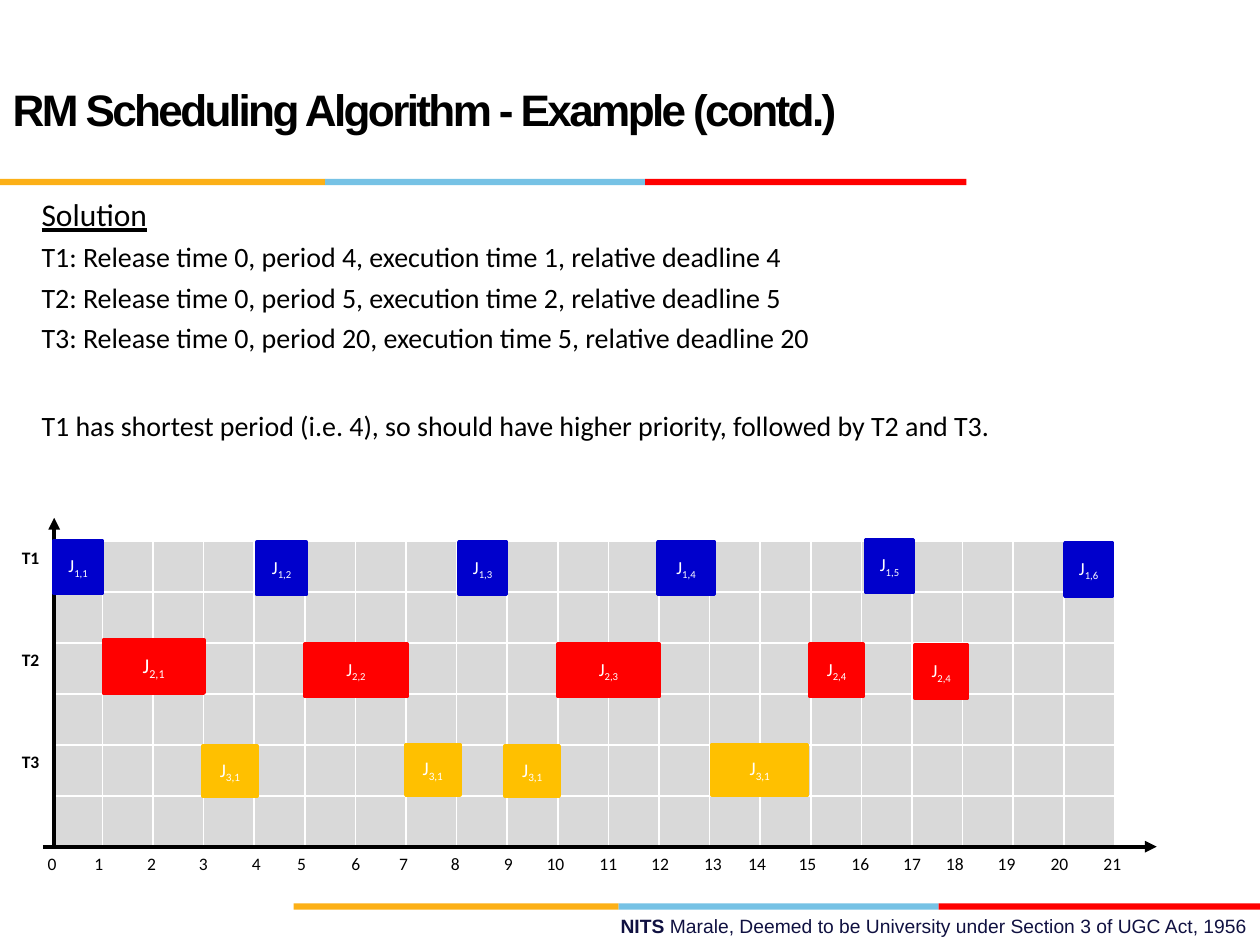
"""Build the rate-monotonic scheduling example slide with its timeline."""
from lxml import etree
from pptx import Presentation
from pptx import util as u
from pptx.dml.color import RGBColor
from pptx.enum import shapes, text
from pptx.oxml.ns import qn

THEME = {
    "heading_font": "Arial", "body_font": "Calibri",
    "ink": "000000", "paper": "FFFFFF", "grid": "D9D9D9", "footer": "101141",
    "stripes": ("FCB017", "76C2E5", "FF0000"),
    "tasks": {"T1": "0000CC", "T2": "FF0000", "T3": "FFC000"},
    "title": 25.2, "lead": 18, "body": 16, "small": 10, "footer_size": 11,
}
TITLE = "RM Scheduling Algorithm - Example (contd.)"
SOLUTION = [
    ("Solution", THEME["lead"], 1.3, 0),
    ("T1: Release time 0, period 4, execution time 1, relative deadline 4", THEME["body"], 1.2, 0),
    ("T2: Release time 0, period 5, execution time 2, relative deadline 5", THEME["body"], 1.2, 0),
    ("T3: Release time 0, period 20, execution time 5, relative deadline 20", THEME["body"], 1.2, 0),
    ("T1 has shortest period (i.e. 4), so should have higher priority, followed by T2 and T3.",
     THEME["body"], 1.3, 25.4),
]
FOOTER = [("NITS ", True),
          ("Marale, Deemed to be University under Section 3 of UGC Act, 1956", False)]
STRIPE_WIDTHS = (2.58, 2.54, 2.55)
TASK_ROWS = {1: "T1", 3: "T2", 5: "T3"}
JOBS = {
    "T1": (0.42, 10.5, [("1,1", 0.43, 4.29, 0.38), ("1,2", 2.04, 4.3, 0.39),
                        ("1,3", 3.64, 4.3, 0.38), ("1,4", 5.22, 4.3, 0.45),
                        ("1,5", 6.87, 4.28, 0.38), ("1,6", 8.45, 4.31, 0.38)]),
    "T2": (0.42, 10.5, [("2,1", 0.82, 5.08, 0.8), ("2,2", 2.42, 5.11, 0.81),
                        ("2,3", 4.43, 5.11, 0.8), ("2,4", 6.43, 5.11, 0.42),
                        ("2,4", 7.26, 5.12, 0.42)]),
    "T3": (0.4, 11, [("3,1", 1.61, 5.92, 0.43), ("3,1", 3.22, 5.91, 0.43),
                     ("3,1", 4.01, 5.92, 0.43), ("3,1", 5.65, 5.91, 0.76)]),
}
LARGE_JOBS = {"2,1": 12}
TICK_LEFTS = (0.28, 0.65, 1.07, 1.48, 1.9, 2.26, 2.69, 3.07, 3.48, 3.9, 4.24, 4.66,
              5.07, 5.49, 5.84, 6.24, 6.66, 7.07, 7.41, 7.82, 8.24, 8.66)
AXES = [((0.43, 6.72), (0.43, 4.11)), ((0.34, 6.72), (9.18, 6.72))]


def color(name):
    return RGBColor.from_string(name)


def box(*inches):
    return [u.Inches(value) for value in inches]


def place(part, *inches):
    part.left, part.top, part.width, part.height = box(*inches)


def add_run(paragraph, words, size, ink, font=THEME["body_font"], bold=False):
    run = paragraph.add_run()
    run.text = words
    run.font.size, run.font.name, run.font.bold = u.Pt(size), font, bold
    run.font.color.rgb = color(ink)
    return run


def add_block(slide, fill, *inches):
    block = slide.shapes.add_shape(shapes.MSO_SHAPE.RECTANGLE, *box(*inches))
    block.shadow.inherit = False
    block.fill.solid()
    block.fill.fore_color.rgb = color(fill)
    block.line.fill.background()
    return block


def add_stripes(slide, left, top):
    for fill, width in zip(THEME["stripes"], STRIPE_WIDTHS):
        add_block(slide, fill, left, top, width, 0.05)
        left += width


def add_title(slide):
    title = slide.shapes.title
    place(title, 0, 0.54, 7.14, 0.65)
    frame = title.text_frame
    frame.auto_size = text.MSO_AUTO_SIZE.NONE
    frame.vertical_anchor = text.MSO_ANCHOR.MIDDLE
    frame.paragraphs[0].alignment = text.PP_ALIGN.LEFT
    run = add_run(frame.paragraphs[0], TITLE, THEME["title"], THEME["ink"],
                  THEME["heading_font"], True)
    run.font._element.set("spc", "-150")


def add_solution(slide):
    body = slide.placeholders[1]
    place(body, 0.23, 1.41, 9.77, 2.77)
    frame = body.text_frame
    frame.auto_size = text.MSO_AUTO_SIZE.NONE
    for index, (words, size, spacing, before) in enumerate(SOLUTION):
        paragraph = frame.add_paragraph() if index else frame.paragraphs[0]
        paragraph.line_spacing = spacing
        paragraph.space_before = u.Pt(before)
        properties = paragraph._p.get_or_add_pPr()
        properties.set("marL", "0")
        properties.set("indent", "0")
        etree.SubElement(properties, qn("a:buNone"))
        run = add_run(paragraph, words, size, THEME["ink"])
        run.font.underline = index == 0


def add_footer(slide):
    footer = slide.shapes.add_textbox(*box(3.58, 7.21, 6.42, 0.29)).text_frame
    footer.word_wrap = True
    footer.paragraphs[0].alignment = text.PP_ALIGN.RIGHT
    for words, bold in FOOTER:
        add_run(footer.paragraphs[0], words, THEME["footer_size"], THEME["footer"],
                THEME["heading_font"], bold)


def style_cell(cell, shaded):
    properties = cell._tc.get_or_add_tcPr()
    for side in ("lnL", "lnR", "lnT", "lnB"):
        border = etree.SubElement(properties, qn(f"a:{side}"), w=str(u.Pt(1)))
        fill = etree.SubElement(border, qn("a:solidFill"))
        etree.SubElement(fill, qn("a:srgbClr"), val=THEME["paper"])
    cell.margin_bottom = u.Inches(0.02)
    if shaded:
        cell.fill.solid()
        cell.fill.fore_color.rgb = color(THEME["grid"])
    else:
        cell.fill.background()


def add_grid(slide):
    rows, columns = 8, len(TICK_LEFTS)
    grid = slide.shapes.add_table(rows, columns, *box(0.01, 3.89, 8.84, 3.24)).table
    grid.first_row = grid.horz_banding = False
    for row in range(rows):
        for column in range(columns):
            style_cell(grid.cell(row, column), column > 0 and 0 < row < rows - 1)
    for row, task in TASK_ROWS.items():
        paragraph = grid.cell(row, 0).text_frame.paragraphs[0]
        paragraph.alignment = text.PP_ALIGN.RIGHT
        add_run(paragraph, task, THEME["small"], THEME["ink"], bold=True)


def add_axes(slide):
    for start, end in AXES:
        axis = slide.shapes.add_connector(shapes.MSO_CONNECTOR.STRAIGHT, *box(*start, *end))
        axis.line.color.rgb = color(THEME["ink"])
        axis.line.width = u.Pt(2.25)
        etree.SubElement(axis.line._get_or_add_ln(), qn("a:tailEnd"), type="triangle")
        etree.SubElement(axis._element.spPr, qn("a:effectLst"))


def add_jobs(slide):
    for task, (height, task_size, jobs) in JOBS.items():
        for number, left, top, width in jobs:
            job = add_block(slide, THEME["tasks"][task], left, top, width, height)
            job.line.color.rgb = color(THEME["tasks"][task])
            job.line.width = u.Pt(2)
            frame = job.text_frame
            frame.vertical_anchor = text.MSO_ANCHOR.MIDDLE
            frame.word_wrap = width > 0.5
            paragraph = frame.paragraphs[0]
            paragraph.alignment = text.PP_ALIGN.CENTER
            size = LARGE_JOBS.get(number, task_size)
            add_run(paragraph, "J", size, THEME["paper"])
            subscript = add_run(paragraph, number, size, THEME["paper"])
            subscript.font._element.set("baseline", "-25000")


def add_ticks(slide):
    for time, left in enumerate(TICK_LEFTS):
        width = 0.28 if time < 10 else 0.36
        tick = slide.shapes.add_textbox(*box(left, 6.72, width, 0.27)).text_frame
        tick.word_wrap = False
        add_run(tick.paragraphs[0], str(time), THEME["small"], THEME["ink"])


def main():
    deck = Presentation()
    deck.slide_width, deck.slide_height = box(10, 7.5)
    slide = deck.slides.add_slide(deck.slide_layouts[1])
    add_stripes(slide, 0, 1.42)
    add_stripes(slide, 2.33, 7.17)
    for build in (add_footer, add_title, add_solution, add_grid, add_axes, add_jobs, add_ticks):
        build(slide)
    deck.save("out.pptx")


if __name__ == "__main__":
    main()
